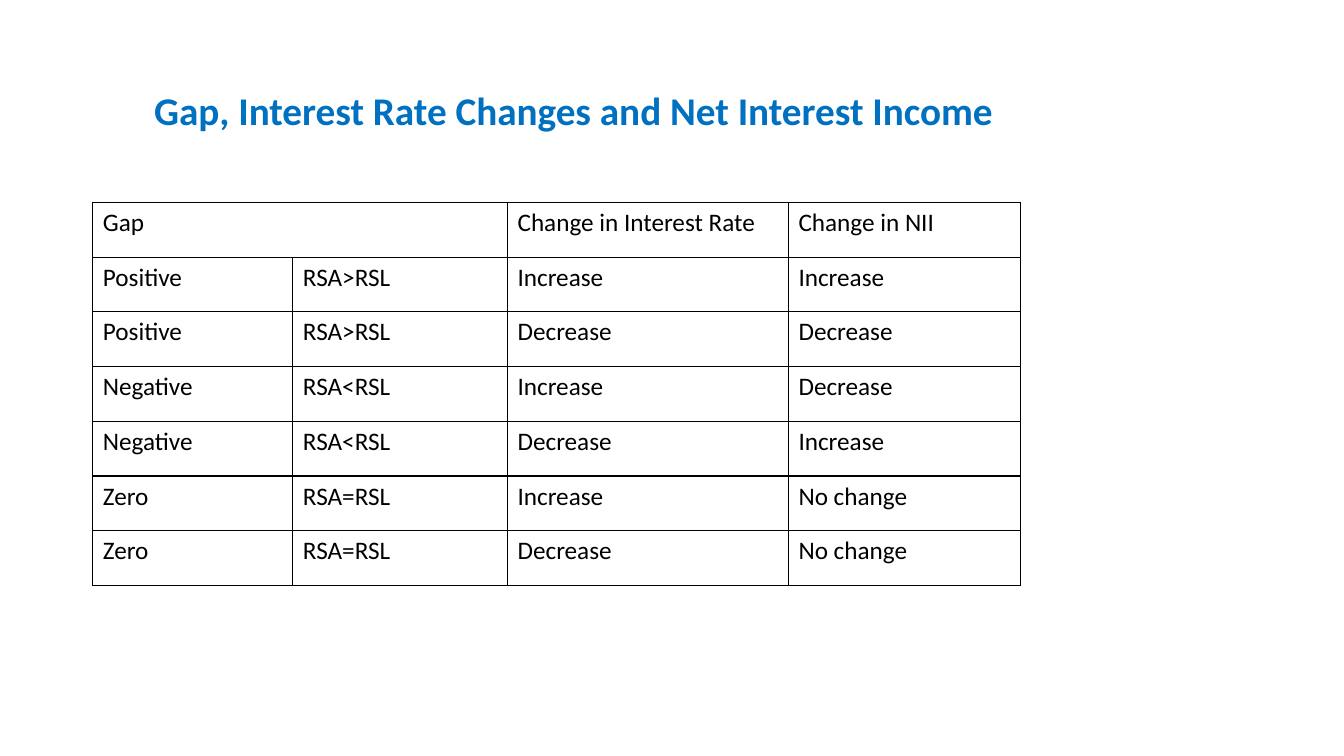
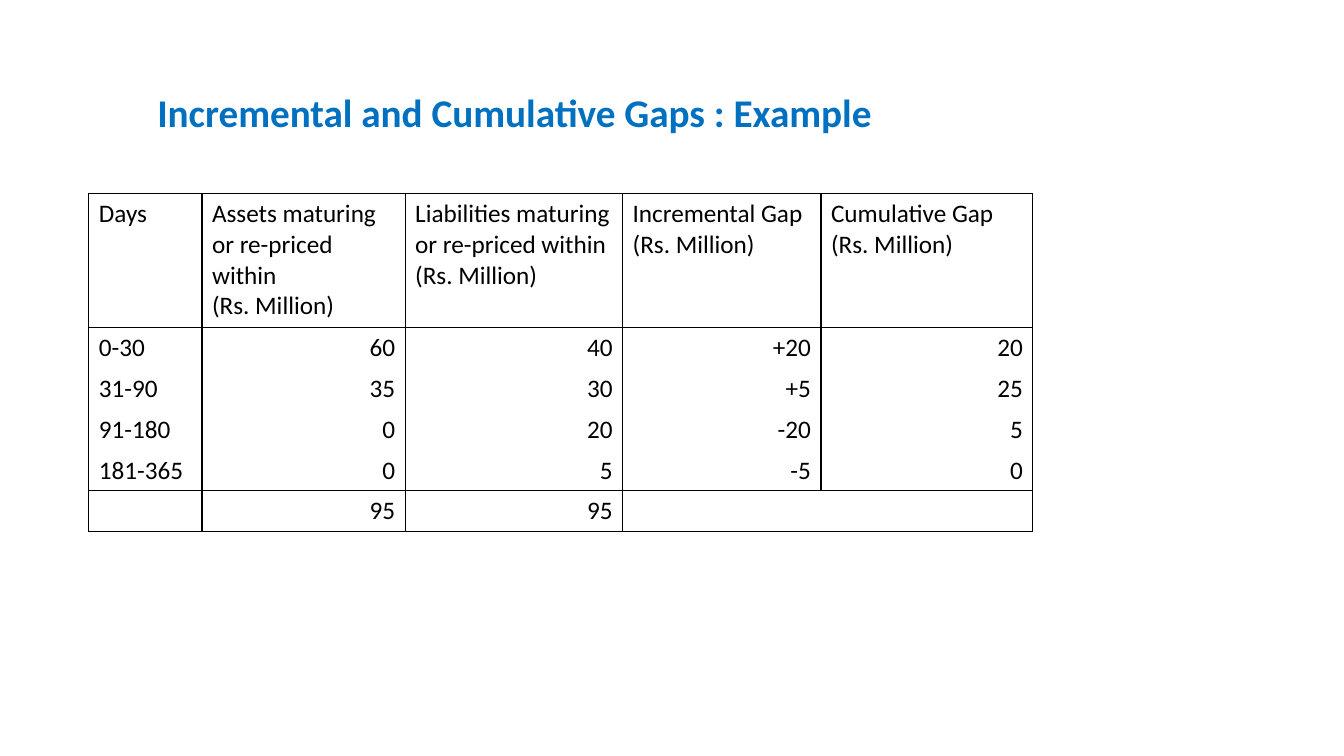
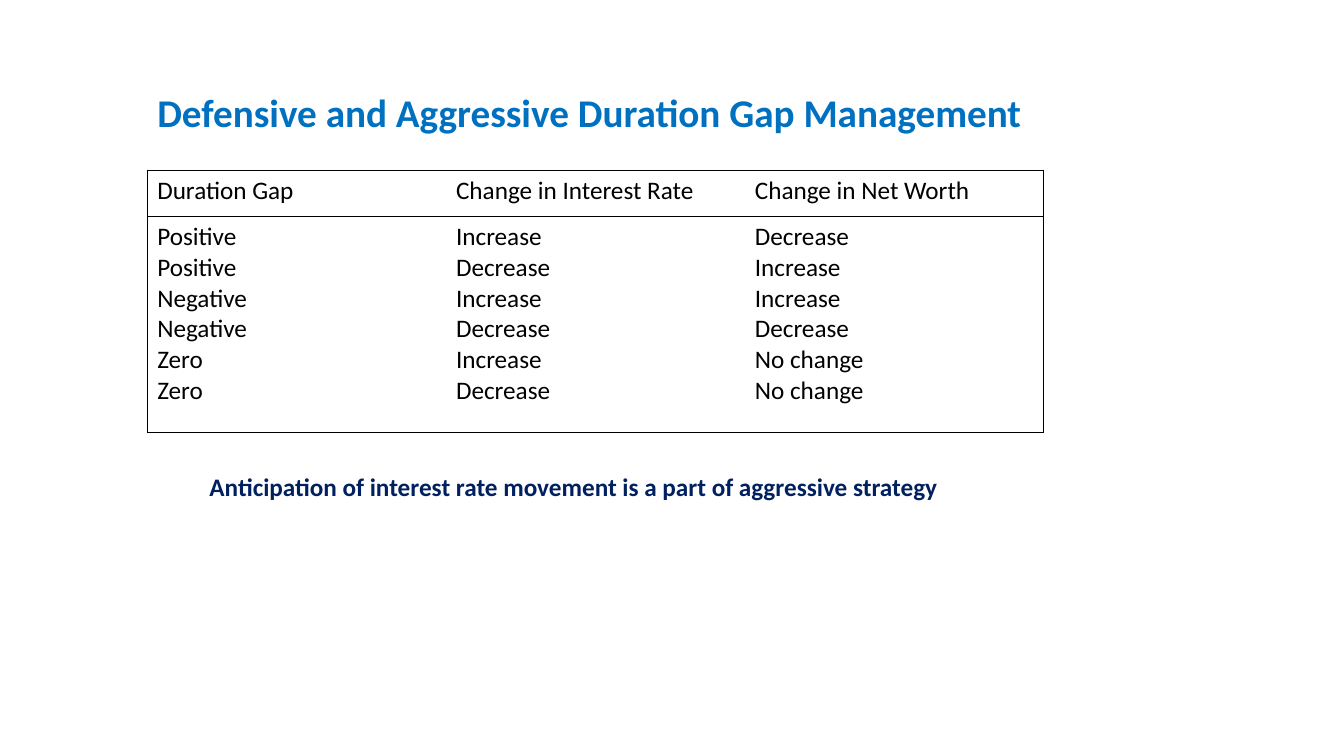
from lxml import etree
from pptx import Presentation
from pptx.dml.color import RGBColor
from pptx.enum import text as t
from pptx.oxml import ns
from pptx.util import Cm, Pt

BLUE = RGBColor(0x00, 0x70, 0xC0)
NAVY = RGBColor(0x00, 0x20, 0x60)
BLACK = RGBColor(0, 0, 0)
FONT = "Calibri"
LEFT, RIGHT, JUST = t.PP_ALIGN.LEFT, t.PP_ALIGN.RIGHT, t.PP_ALIGN.JUSTIFY


class Deck:
    """Holds the shared style and the current slide."""

    def __init__(self):
        self.prs = Presentation()
        self.prs.slide_width, self.prs.slide_height = Cm(33.87), Cm(19.05)
        self.slide = None

    def style(self, frame, size, color, bold=False, align=LEFT):
        for para in frame.paragraphs:
            para.alignment = align
            for run in para.runs:
                font = run.font
                font.name, font.size, font.bold = FONT, Pt(size), bold
                font.color.rgb = color

    def place(self, shape, left, top, width, height):
        shape.left, shape.top = Cm(left), Cm(top)
        shape.width, shape.height = Cm(width), Cm(height)

    def page(self, title, left=3.71, top=1.8, height=2.18):
        self.slide = self.prs.slides.add_slide(self.prs.slide_layouts[5])
        shape = self.slide.shapes.title
        self.place(shape, left, top, 29.21, height)
        frame = shape.text_frame
        frame.text = title
        frame.vertical_anchor = t.MSO_ANCHOR.MIDDLE
        frame.paragraphs[0].line_spacing = 0.9
        self.style(frame, 28, BLUE, True)

    def border(self, cell, edges):
        """Draw the edges named in a string of L, R, T and B; clear the rest."""
        props = cell._tc.get_or_add_tcPr()
        for spot, side in enumerate("LRTB"):
            line = etree.Element(ns.qn("a:ln" + side), w=str(Pt(1)))
            if side in edges:
                fill = etree.SubElement(line, ns.qn("a:solidFill"))
                etree.SubElement(fill, ns.qn("a:srgbClr"), val=str(BLACK))
            else:
                etree.SubElement(line, ns.qn("a:noFill"))
            props.insert(spot, line)

    def table(self, left, top, cols, rows, data, edges, align=None):
        """edges(row, col) names the borders; align(row, col) the alignment."""
        frame = self.slide.shapes.add_table(
            len(rows), len(cols), Cm(left), Cm(top), Cm(sum(cols)), Cm(sum(rows)))
        grid = frame.table
        grid.first_row = grid.horz_banding = False
        for col, width in zip(grid.columns, cols):
            col.width = Cm(width)
        for row, height in zip(grid.rows, rows):
            row.height = Cm(height)
        for r, line in enumerate(data):
            for c, words in enumerate(line):
                cell = grid.cell(r, c)
                cell.text = words
                cell.fill.background()
                self.border(cell, edges(r, c))
                side = align(r, c) if align else LEFT
                self.style(cell.text_frame, 18, BLACK, align=side)
        return grid

    def note(self, words, left, top, width, height):
        box = self.slide.shapes.add_textbox(
            Cm(left), Cm(top), Cm(width), Cm(height))
        frame = box.text_frame
        frame.word_wrap = True
        frame.text = words
        props = frame.paragraphs[0]._p.get_or_add_pPr()
        props.set("marL", str(Cm(1.27)))
        props.set("indent", str(Cm(-1.27)))
        self.style(frame, 18, NAVY, True, JUST)


def income(deck):
    deck.page("Gap, Interest Rate Changes and Net Interest Income",
              3.63, 1.52, 2.64)
    data = [
        ["Gap", "", "Change in Interest Rate", "Change in NII"],
        ["Positive", "RSA>RSL", "Increase", "Increase"],
        ["Positive", "RSA>RSL", "Decrease", "Decrease"],
        ["Negative", "RSA<RSL", "Increase", "Decrease"],
        ["Negative", "RSA<RSL", "Decrease", "Increase"],
        ["Zero", "RSA=RSL", "Increase", "No change"],
        ["Zero", "RSA=RSL", "Decrease", "No change"],
    ]
    grid = deck.table(2.34, 5.1, [5.04, 5.41, 7.08, 5.85], [1.38] * 7, data,
                      lambda r, c: "LRTB")
    grid.cell(0, 0).merge(grid.cell(0, 1))


def gaps(deck):
    deck.page("Incremental and Cumulative Gaps : Example")
    data = [
        ["Days",
         "Assets maturing or re-priced within\n(Rs. Million)",
         "Liabilities maturing or re-priced within\n(Rs. Million)",
         "Incremental Gap (Rs. Million)",
         "Cumulative Gap (Rs. Million)"],
        ["0-30", "60", "40", "+20", "20"],
        ["31-90", "35", "30", "+5", "25"],
        ["91-180", "0", "20", "-20", "5"],
        ["181-365", "0", "5", "-5", "0"],
        ["", "95", "95", "", ""],
    ]

    def edges(r, c):
        # The last two cells of the total row share one open space
        if r == 5 and c > 2:
            return "LTB" if c == 3 else "RTB"
        return {1: "LRT", 2: "LR", 3: "LR", 4: "LRB"}.get(r, "LRTB")

    deck.table(2.24, 4.88, [2.85, 5.12, 5.48, 5, 5.34], [3.37] + [1.03] * 5,
               data, edges, lambda r, c: RIGHT if r and c else LEFT)


def worth(deck):
    deck.page("Defensive and Aggressive Duration Gap Management")
    data = [
        ["Duration Gap", "Change in Interest Rate", "Change in Net Worth"],
        ["Positive\nPositive\nNegative\nNegative\nZero\nZero",
         "\n".join(["Increase", "Decrease"] * 3),
         "Decrease\nIncrease\nIncrease\nDecrease\nNo change\nNo change"],
    ]
    deck.table(3.71, 4.29, [7.53] * 3, [1.17, 5.44], data,
               lambda r, c: "TB" + ["L", "", "R"][c])
    deck.note("Anticipation of interest rate movement is a part of "
              "aggressive strategy", 5.03, 11.76, 20, 1.02)


def main():
    deck = Deck()
    for build in (income, gaps, worth):
        build(deck)
    deck.prs.save("out.pptx")


if __name__ == "__main__":
    main()
